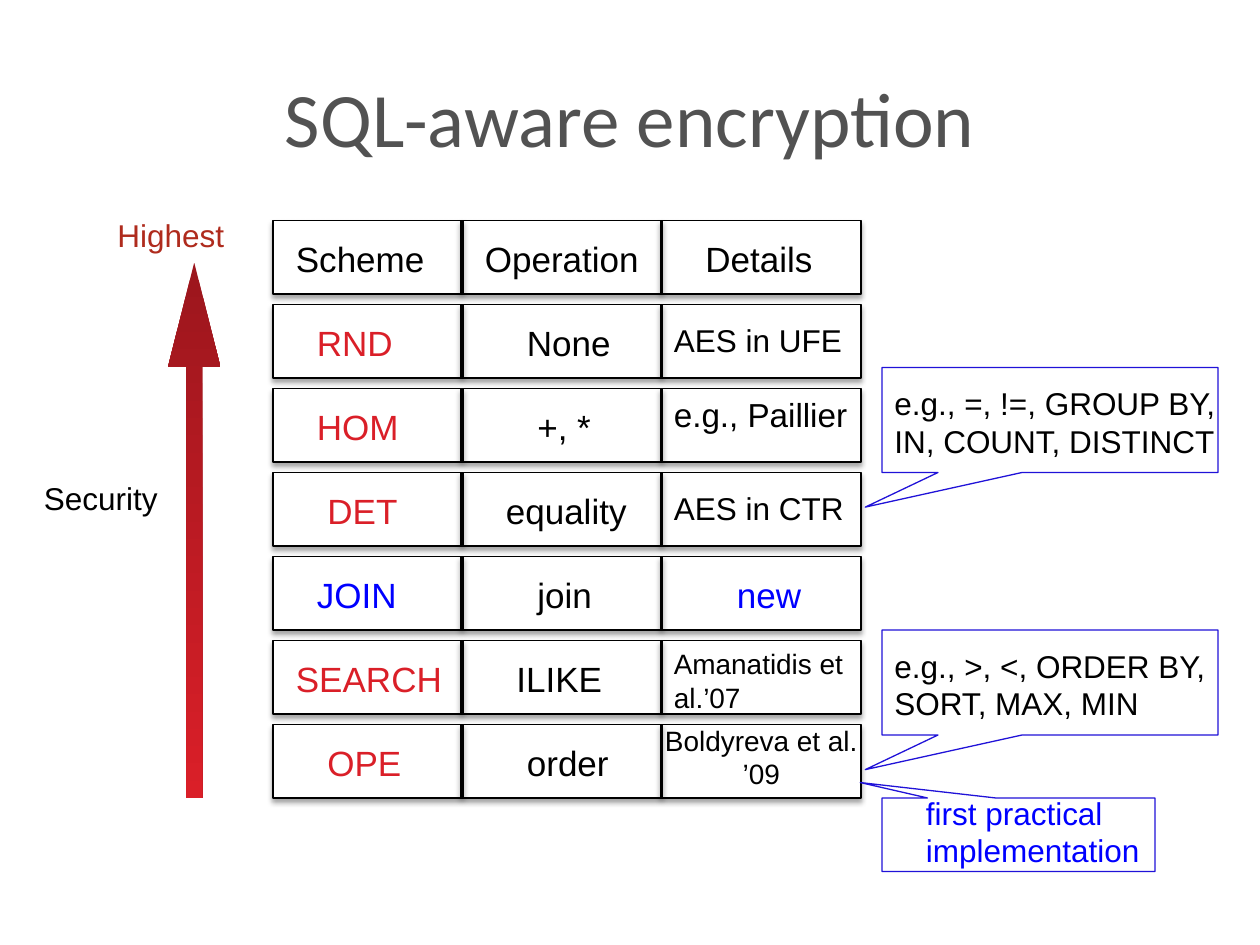
from lxml import etree
from pptx import Presentation
from pptx.dml.color import RGBColor
from pptx.enum.shapes import MSO_CONNECTOR, MSO_SHAPE
from pptx.enum.text import MSO_ANCHOR, MSO_AUTO_SIZE, PP_ALIGN
from pptx.oxml.ns import qn
from pptx.util import Inches, Pt

STRAIGHT = MSO_CONNECTOR.STRAIGHT
RECTANGLE = MSO_SHAPE.RECTANGLE
UP_ARROW = MSO_SHAPE.UP_ARROW
CALLOUT = MSO_SHAPE.RECTANGULAR_CALLOUT
FIT = MSO_AUTO_SIZE.SHAPE_TO_FIT_TEXT
MIDDLE = MSO_ANCHOR.MIDDLE
LEFT, CENTER = PP_ALIGN.LEFT, PP_ALIGN.CENTER

BLACK = RGBColor(0x00, 0x00, 0x00)
WHITE = RGBColor(0xFF, 0xFF, 0xFF)
GRAY = RGBColor(0x52, 0x52, 0x52)
RED = RGBColor(0xDA, 0x1F, 0x28)
DARK_RED = RGBColor(0x9C, 0x16, 0x1D)
BRICK = RGBColor(0xAF, 0x2B, 0x1D)
BLUE = RGBColor(0x00, 0x00, 0xFF)
OUTLINE_BLUE = RGBColor(0x20, 0x12, 0xD8)

deck = Presentation()
deck.slide_width, deck.slide_height = Inches(10), Inches(7.5)
page = deck.slides.add_slide(deck.slide_layouts[5])
UNIT = deck.slide_width // 120


def add_label(text, left, top, width, size, color, lines=1, align=LEFT):
    height = Pt(size * 1.2 * lines) + Inches(0.1)
    box = page.shapes.add_textbox(
        round(left * UNIT), round(top * UNIT), width * UNIT, height)
    frame = box.text_frame
    frame.word_wrap = True
    frame.auto_size = FIT
    frame.text = text
    for para in frame.paragraphs:
        para.alignment = align
        for span in para.runs:
            span.font.name = "Arial"
            span.font.size = Pt(size)
            span.font.color.rgb = color


def add_shadow(shape, distance, opacity):
    effects = etree.SubElement(shape._element.spPr, qn("a:effectLst"))
    shadow = etree.SubElement(
        effects, qn("a:outerShdw"), blurRad=str(Pt(3.1)),
        dist=str(Pt(distance)), dir="5400000", rotWithShape="0")
    color = etree.SubElement(shadow, qn("a:srgbClr"), val="000000")
    etree.SubElement(color, qn("a:alpha"), val=str(opacity * 1000))


title = page.shapes.title
title.left, title.top = Inches(0.5), Inches(0.3)
title.width, title.height = Inches(9), Inches(1.25)
title.text_frame.text = "SQL-aware encryption"
title.text_frame.vertical_anchor = MIDDLE
title_para = title.text_frame.paragraphs[0]
title_para.alignment = CENTER
title_font = title_para.runs[0].font
title_font.name, title_font.size = "Calibri", Pt(44)
title_font.color.rgb = GRAY

arrow = page.shapes.add_shape(UP_ARROW, 16 * UNIT, 25 * UNIT, 5 * UNIT, 51 * UNIT)
arrow.adjustments[0], arrow.adjustments[1] = 0.3, 1.99
arrow.fill.gradient()
arrow.fill.gradient_angle = 270
for stop, position, color in zip(arrow.fill.gradient_stops, (0, 1), (DARK_RED, RED)):
    stop.position = position
    stop.color.rgb = color
arrow.line.fill.background()
arrow.shadow.inherit = False
add_label("Highest", 10, 20, 14, 18, BRICK)
add_label("Security", 3, 45, 17, 18, BLACK)

ROW_TOP, ROW_STEP, ROW_HEIGHT = 21, 8, 7
ROW_LEFT, ROW_WIDTH = 26, 56
DIVIDERS = (44, 63)

# scheme, left, colour, operation, left
rows = [
    ("Scheme", 27, BLACK, "Operation", 45),
    ("RND", 29, RED, "None", 49),
    ("HOM", 29, RED, "+, *", 50),
    ("DET", 30, RED, "equality", 47),
    ("JOIN", 29, BLUE, "join", 50),
    ("SEARCH", 27, RED, "ILIKE", 48),
    ("OPE", 30, RED, "order", 49),
]
# text, left, offset in row, width, size, colour, lines, alignment
details = [
    ("Details", 66, 1, 13, 20, BLACK, 1, LEFT),
    ("AES in UFE", 63, 1, 25, 18, BLACK, 1, LEFT),
    ("e.g., Paillier", 63, 0, 22, 19, BLACK, 1, LEFT),
    ("AES in CTR", 63, 1, 21, 18, BLACK, 1, LEFT),
    ("new", 69, 1, 13, 20, BLUE, 1, LEFT),
    ("Amanatidis et al.’07", 63, 0, 25, 16, BLACK, 2, LEFT),
    ("Boldyreva et al.\n’09", 61, -0.7, 23, 16, BLACK, 2, CENTER),
]
for index, (row, detail) in enumerate(zip(rows, details)):
    top = ROW_TOP + index * ROW_STEP
    bar = page.shapes.add_shape(
        RECTANGLE, ROW_LEFT * UNIT, top * UNIT, ROW_WIDTH * UNIT, ROW_HEIGHT * UNIT)
    bar.fill.solid()
    bar.fill.fore_color.rgb = WHITE
    bar.line.color.rgb = BLACK
    bar.line.width = Pt(0.75)
    add_shadow(bar, 1.8, 35)
    for column in DIVIDERS:
        divider = page.shapes.add_connector(
            STRAIGHT, column * UNIT, top * UNIT, column * UNIT, (top + ROW_HEIGHT) * UNIT)
        divider.line.color.rgb = BLACK
        divider.line.width = Pt(2)
        add_shadow(divider, 1.6, 38)
    scheme, scheme_left, scheme_color, operation, operation_left = row
    add_label(scheme, scheme_left, top + 1, 18, 20, scheme_color)
    add_label(operation, operation_left, top + 1, 23, 20, BLACK)
    text, left, offset, width, size, color, lines, align = detail
    add_label(text, left, top + offset, width, size, color, lines, align)

# top, width, height, pointer, text, text left, text top, text width, colour
callouts = [
    (35, 32, 10, (-0.55, 0.83), "e.g., =, !=, GROUP BY, IN, COUNT, DISTINCT",
     84, 36, 36, BLACK),
    (60, 32, 10, (-0.55, 0.83), "e.g., >, <, ORDER BY, SORT, MAX, MIN",
     84, 61, 37, BLACK),
    (76, 26, 7, (-0.58, -0.71), "first practical implementation",
     87, 75, 32, BLUE),
]
for top, width, height, pointer, text, left, text_top, text_width, color in callouts:
    callout = page.shapes.add_shape(
        CALLOUT, 84 * UNIT, top * UNIT, width * UNIT, height * UNIT)
    callout.adjustments[0], callout.adjustments[1] = pointer
    callout.fill.background()
    callout.line.color.rgb = OUTLINE_BLUE
    callout.line.width = Pt(0.75)
    callout.shadow.inherit = False
    add_label(text, left, text_top, text_width, 18, color, lines=2)

deck.save("out.pptx")
